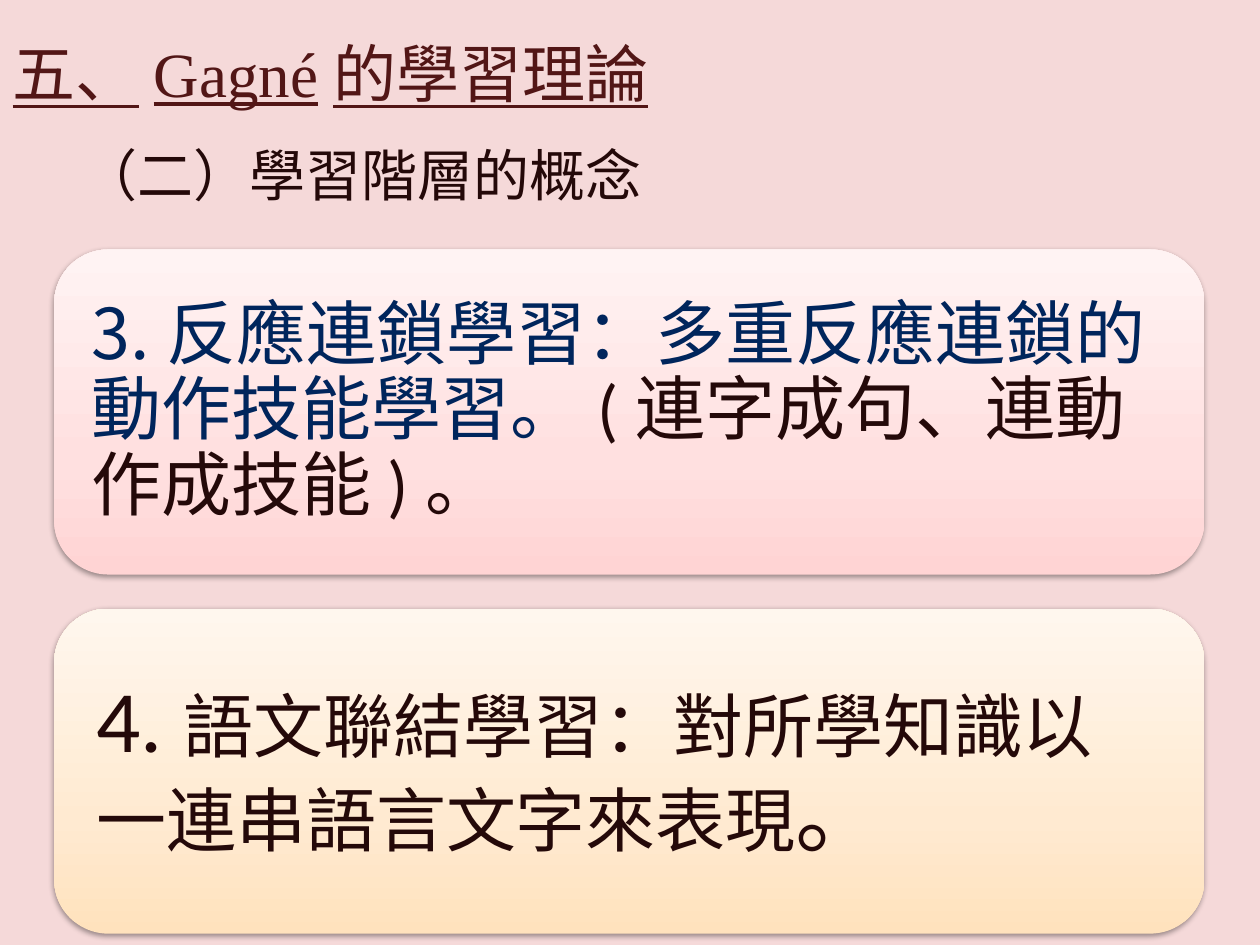
from copy import deepcopy
from dataclasses import dataclass

from lxml import etree
from pptx import Presentation
from pptx.dml.color import RGBColor as RGB
from pptx.enum.shapes import MSO_SHAPE as SHAPE
from pptx.enum.text import MSO_ANCHOR as ANCHOR, MSO_AUTO_SIZE as AUTOSIZE, PP_ALIGN as ALIGN
from pptx.oxml.ns import qn
from pptx.util import Inches, Pt


@dataclass(frozen=True)
class Theme:
    background: str = "F5D9D9"
    title: str = "521616"
    text: str = "240909"
    accent: str = "00255C"
    pink: tuple = ("FFD4D4", "FFE0E0", "FFF3F3")
    orange: tuple = ("FFE2BD", "FFEAD1", "FFF7EE")
    stops: tuple = (0, 0.35, 1)
    cjk: str = "Noto Sans CJK SC"
    latin: str = "Calibri"
    serif: str = "Times New Roman"
    title_size: int = 36
    subtitle_size: int = 32
    body_size: int = 40
    large_size: int = 50


T = Theme()


def add_run(p, text, *, size, color, font=T.cjk, underline=None):
    r = p.add_run()
    r.text = text
    r.font.size = Pt(size)
    r.font.name = font
    r.font.underline = underline
    r.font.color.rgb = RGB.from_string(color)
    # Chinese characters take the same typeface
    ea = etree.Element(qn("a:ea"), typeface=font)
    r.font._element.find(qn("a:latin")).addnext(ea)


def fill_gradient(sp, colors):
    """Three stops running from the bottom to the top."""
    sp.fill.gradient()
    sp.fill.gradient_angle = 90
    stop_list = sp._element.spPr.find(qn("a:gradFill")).find(qn("a:gsLst"))
    stop_list.append(deepcopy(stop_list[-1]))
    for stop, position, color in zip(sp.fill.gradient_stops, T.stops, colors):
        stop.position = position
        stop.color.rgb = RGB.from_string(color)


def add_shadow(sp):
    sp.shadow.inherit = False
    effects = sp._element.spPr.find(qn("a:effectLst"))
    shadow = etree.SubElement(
        effects, qn("a:outerShdw"), blurRad=str(Pt(3.1)), dist=str(Pt(1.6)),
        dir="5400000", rotWithShape="0")
    color = etree.SubElement(shadow, qn("a:srgbClr"), val="000000")
    etree.SubElement(color, qn("a:alpha"), val="38000")


def place_title(slide, left, top, width, height):
    sp = slide.shapes.title
    sp.left, sp.top, sp.width, sp.height = left, top, width, height
    tf = sp.text_frame
    tf.vertical_anchor = ANCHOR.TOP
    tf.auto_size = AUTOSIZE.SHAPE_TO_FIT_TEXT
    p = tf.paragraphs[0]
    p.alignment = ALIGN.LEFT
    for text, font in (("五、", T.cjk), ("Gagné", T.serif), ("的學習理論", T.cjk)):
        add_run(p, text, size=T.title_size, color=T.title, font=font, underline=True)


def add_subtitle(slide, left, top, width, height):
    tf = slide.shapes.add_textbox(left, top, width, height).text_frame
    tf.word_wrap = False
    tf.auto_size = AUTOSIZE.SHAPE_TO_FIT_TEXT
    add_run(tf.paragraphs[0], "（二）學習階層的概念", size=T.subtitle_size, color=T.text)


def add_card(slide, left, top, width, height, *, colors, inset, runs):
    sp = slide.shapes.add_shape(SHAPE.ROUNDED_RECTANGLE, left, top, width, height)
    fill_gradient(sp, colors)
    sp.line.fill.background()
    add_shadow(sp)
    tf = sp.text_frame
    tf.word_wrap = True
    tf.vertical_anchor = ANCHOR.MIDDLE
    tf.margin_left = tf.margin_right = tf.margin_top = tf.margin_bottom = inset
    p = tf.paragraphs[0]
    p.alignment = ALIGN.LEFT
    p.line_spacing = 0.9
    for text, style in runs:
        add_run(p, text, **style)


def add_cards(slide, left, top, width, height, gap):
    accent = dict(size=T.body_size, color=T.accent)
    body = dict(size=T.body_size, color=T.text)
    large = dict(size=T.large_size, color=T.text, font=T.latin)
    cards = (
        (T.pink, Inches(0.17), (
            ("3.", accent),
            ("反應連鎖學習：多重反應連鎖的動作技能學習。", dict(accent, font=T.latin)),
            ("(連字成句、連動作成技能)。", dict(body, font=T.latin)))),
        (T.orange, Inches(0.21), (
            ("4.", large),
            ("語文聯結學習：對所學知識以一連串語言文字來表現", body),
            ("。", large))),
    )
    card_height = (height - gap * (len(cards) - 1)) // len(cards)
    for i, (colors, inset, runs) in enumerate(cards):
        add_card(slide, left, top + i * (card_height + gap), width, card_height,
                 colors=colors, inset=inset, runs=runs)


def main():
    prs = Presentation()
    prs.slide_width, prs.slide_height = Inches(10), Inches(7.5)
    slide = prs.slides.add_slide(prs.slide_layouts[5])
    slide.background.fill.solid()
    slide.background.fill.fore_color.rgb = RGB.from_string(T.background)

    # Headings
    place_title(slide, Inches(0), Inches(0.22), Inches(9.76), Inches(0.71))
    add_subtitle(slide, Inches(0.55), Inches(1.07), Inches(4.69), Inches(0.64))
    # Learning levels
    add_cards(slide, Inches(0.43), Inches(1.98), Inches(9.13), Inches(5.43), Inches(0.27))

    prs.save("out.pptx")


if __name__ == "__main__":
    main()
